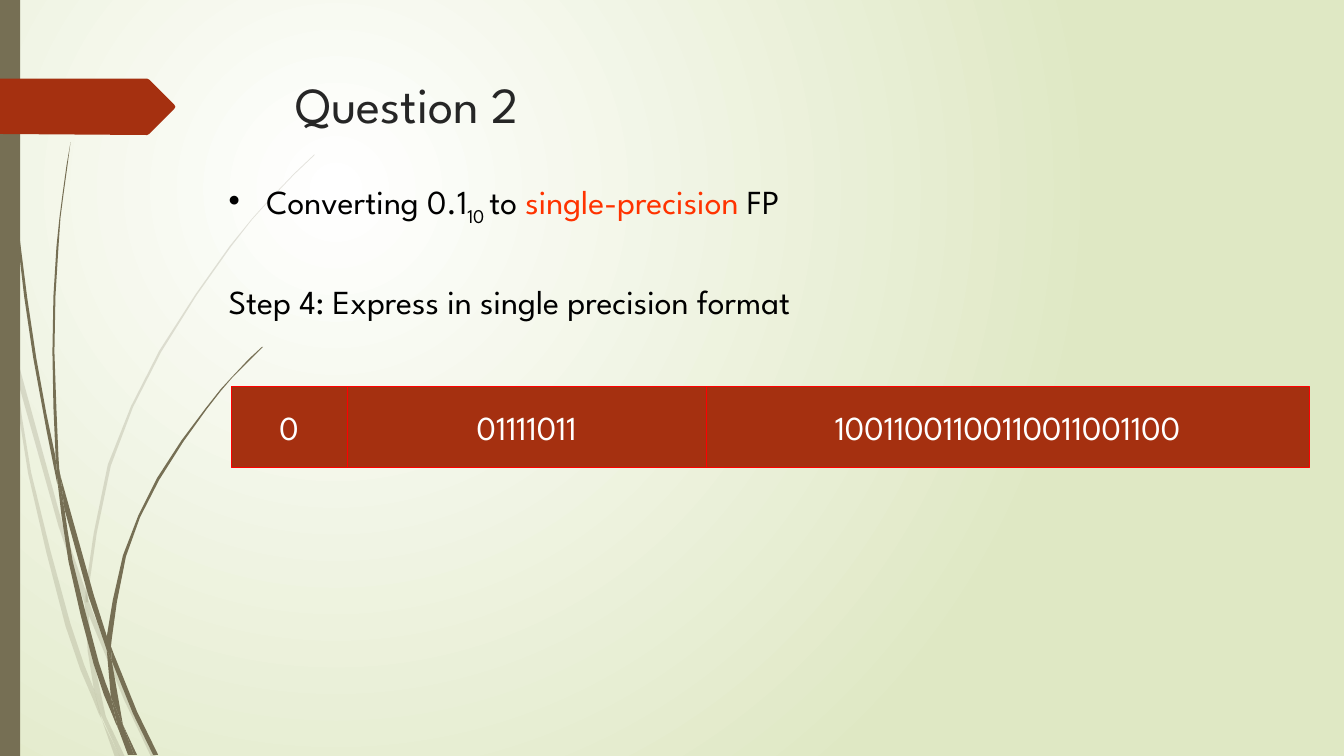
import pptx
import pptx.util
import pptx.dml.color
import pptx.enum.shapes
import pptx.enum.text
import pptx.oxml.ns
import lxml.etree

Pt = pptx.util.Pt
RGB = pptx.dml.color.RGBColor
qn = pptx.oxml.ns.qn

WHITE = RGB(0xFF, 0xFF, 0xFF)
BLACK = RGB(0, 0, 0)
INK = RGB(0x26, 0x26, 0x26)
PALE_GREEN = RGB(0xDF, 0xE8, 0xC4)
OLIVE = RGB(0x76, 0x6F, 0x54)
RUST = RGB(0xA5, 0x30, 0x10)
RED = RGB(0xFF, 0, 0)
ORANGE = RGB(0xFF, 0x33, 0)
FONT = "League Spartan"
UNIT = Pt(0.72)  # grid step of the outlines

# Each blade piece is its left edge and its right edge, from top to root
PALE_BLADES = [
    ([(0, 282), (0, 299), (10, 344), (11, 350)], [(0, 282), (9, 322), (11, 350)]),
    ([(14, 345), (17, 376), (58, 522), (84, 599)], [(14, 345), (62, 520), (85, 586)]),
    ([(88, 596), (88, 610), (123, 694), (150, 751)], [(88, 596), (92, 607), (127, 692), (155, 751)]),
    ([(105, 711), (119, 751)], [(105, 711), (124, 751)]),
    ([(11, 350), (28, 470), (65, 621), (92, 693), (101, 714)],
     [(11, 350), (17, 376), (31, 469), (70, 619), (93, 683), (101, 714)]),
    ([(84, 599), (87, 646), (93, 683), (105, 711)], [(84, 599), (88, 610), (91, 646), (105, 711)]),
    ([(312, 153), (268, 197), (228, 244), (158, 348), (107, 461), (85, 584), (88, 596)],
     [(312, 154), (268, 198), (229, 245), (160, 349), (110, 462), (88, 584), (88, 596)]),
    ([(101, 714), (114, 751)], [(101, 714), (119, 751)]),
    ([(85, 586), (84, 599), (88, 610)], [(85, 586), (88, 596), (88, 610)]),
    ([(93, 683), (99, 707), (119, 751)], [(93, 683), (105, 711), (119, 751)]),
]
DARK_BLADES = [
    ([(3, 0), (7, 110), (17, 233), (33, 355), (57, 481)],
     [(4, 0), (8, 109), (19, 232), (36, 355), (55, 453), (57, 481)]),
    ([(60, 472), (64, 505), (88, 592), (106, 645)], [(60, 472), (93, 590), (106, 631)]),
    ([(110, 641), (111, 656), (132, 708), (152, 749)], [(110, 641), (113, 649), (136, 706), (157, 749)]),
    ([(57, 477), (68, 557), (93, 659), (111, 708), (117, 722)],
     [(57, 477), (64, 505), (72, 556), (98, 657), (110, 691), (117, 722)]),
    ([(70, 141), (62, 193), (56, 245), (52, 349), (55, 449), (60, 472)],
     [(70, 141), (63, 193), (58, 245), (54, 349), (58, 453), (60, 472)]),
    ([(122, 719), (133, 749)], [(122, 719), (136, 749)]),
    ([(55, 449), (57, 477), (64, 505)], [(55, 449), (60, 472), (64, 505)]),
    ([(260, 344), (231, 373), (204, 405), (156, 474), (122, 551), (106, 631), (110, 641)],
     [(261, 344), (231, 374), (205, 406), (158, 476), (125, 552), (111, 633), (110, 641)]),
    ([(117, 722), (127, 749)], [(117, 722), (131, 749)]),
    ([(106, 645), (110, 691), (122, 719)], [(106, 645), (111, 656), (122, 719)]),
    ([(106, 631), (106, 645), (111, 656)], [(106, 631), (110, 641), (111, 656)]),
    ([(110, 691), (117, 722), (130, 749)], [(110, 691), (122, 719), (133, 749)]),
]
BANNER = [(0, 78), (146, 78), (148, 79), (173, 104), (174, 106), (173, 108),
          (148, 133), (146, 134), (0, 133)]
# Fields of the number: bits, left edge, width
FIELDS = [("0", 165.2, 82.8), ("01111011", 248, 256.4),
          ("10011001100110011001100", 504.4, 430.8)]


def set_background(s):
    fill = s.background.fill
    fill.gradient()
    for stop, color, pos in zip(fill.gradient_stops, (WHITE, PALE_GREEN), (0, 1)):
        stop.color.rgb = color
        stop.position = pos
    grad = s._element.find(".//" + qn("a:gradFill"))
    grad.remove(grad.find(qn("a:lin")))
    path = lxml.etree.SubElement(grad, qn("a:path"), {"path": "circle"})
    lxml.etree.SubElement(path, qn("a:fillToRect"),
                          dict(l="50000", t="50000", r="100000", b="100000"))


def paint(sp, color, line=None, alpha=None):
    sp.shadow.inherit = False
    sp.fill.solid()
    sp.fill.fore_color.rgb = color
    if line is None:
        sp.line.fill.background()
    else:
        sp.line.color.rgb = line
        sp.line.width = Pt(0.75)
    if alpha is not None:
        clr = sp._element.spPr.find(".//" + qn("a:srgbClr"))
        lxml.etree.SubElement(clr, qn("a:alpha"), val=str(alpha * 1000))


def add_outline(s, points, color, alpha=None):
    fb = s.shapes.build_freeform(*points[0], scale=UNIT)
    fb.add_line_segments(points[1:], close=True)
    paint(fb.convert_to_shape(), color, alpha=alpha)


def soften(edge):
    """Add a curved midpoint to each segment of a long edge."""
    if len(edge) < 5:
        return edge
    padded = [edge[0]] + edge + [edge[-1]]
    result = []
    for quad in zip(padded, padded[1:], padded[2:], padded[3:]):
        middle = tuple((9 * (b + c) - a - d) / 16 for a, b, c, d in zip(*quad))
        result += [quad[1], middle]
    return result + [edge[-1]]


def add_blades(s, blades, alpha=None):
    for left, right in blades:
        add_outline(s, soften(left) + soften(right)[::-1], OLIVE, alpha)


def add_rect(s, x, y, w, h, color, line=None):
    sp = s.shapes.add_shape(pptx.enum.shapes.MSO_SHAPE.RECTANGLE,
                            Pt(x), Pt(y), Pt(w), Pt(h))
    paint(sp, color, line)
    return sp


def add_text_box(s, x, y, w, h):
    tf = s.shapes.add_textbox(Pt(x), Pt(y), Pt(w), Pt(h)).text_frame
    tf.word_wrap = True
    return tf


def style(p, size, color):
    p.font.name = FONT
    p.font.size = Pt(size)
    p.font.color.rgb = color


def add_bullet(p, indent):
    pPr = p._p.get_or_add_pPr()
    pPr.set("marL", str(Pt(indent)))
    pPr.set("indent", str(-Pt(indent)))
    bullet = lxml.etree.Element(qn("a:buChar"), char="•")
    pPr.find(qn("a:defRPr")).addprevious(bullet)


def add_field(s, bits, x, w):
    tf = add_rect(s, x, 276.1, w, 57.8, RUST, RED).text_frame
    tf.word_wrap = False
    tf.vertical_anchor = pptx.enum.text.MSO_ANCHOR.MIDDLE
    p = tf.paragraphs[0]
    p.text = bits
    p.alignment = pptx.enum.text.PP_ALIGN.CENTER
    style(p, 24, WHITE)


def add_body(s):
    tf = add_text_box(s, 156.2, 126, 684, 342)
    p = tf.paragraphs[0]
    style(p, 24, BLACK)
    p.space_before = Pt(6)
    add_bullet(p, 27)
    for text in ("Converting 0.1", "10 ", "to ", "single-precision", " FP"):
        r = p.add_run()
        r.text = text
        if text == "10 ":
            r.font._element.set("baseline", "-25000")
        elif text == "single-precision":
            r.font.color.rgb = ORANGE
    p = tf.add_paragraph()
    p.text = "Step 4: Express in single precision format"
    p.space_before = Pt(38.4)
    style(p, 24, BLACK)


def main():
    prs = pptx.Presentation()
    prs.slide_width, prs.slide_height = Pt(960), Pt(540)
    s = prs.slides.add_slide(prs.slide_layouts[6])

    # Backdrop
    set_background(s)
    add_blades(s, PALE_BLADES, alpha=20)
    add_blades(s, DARK_BLADES)
    add_rect(s, 0, 0, 14.4, 540, OLIVE)
    add_outline(s, BANNER, RUST)

    # Title and text
    p = add_text_box(s, 204.2, 49, 702, 100.8).paragraphs[0]
    p.text = "Question 2"
    style(p, 36, INK)
    add_body(s)

    # Sign, exponent and fraction
    for field in FIELDS:
        add_field(s, *field)

    prs.save("out.pptx")


main()
